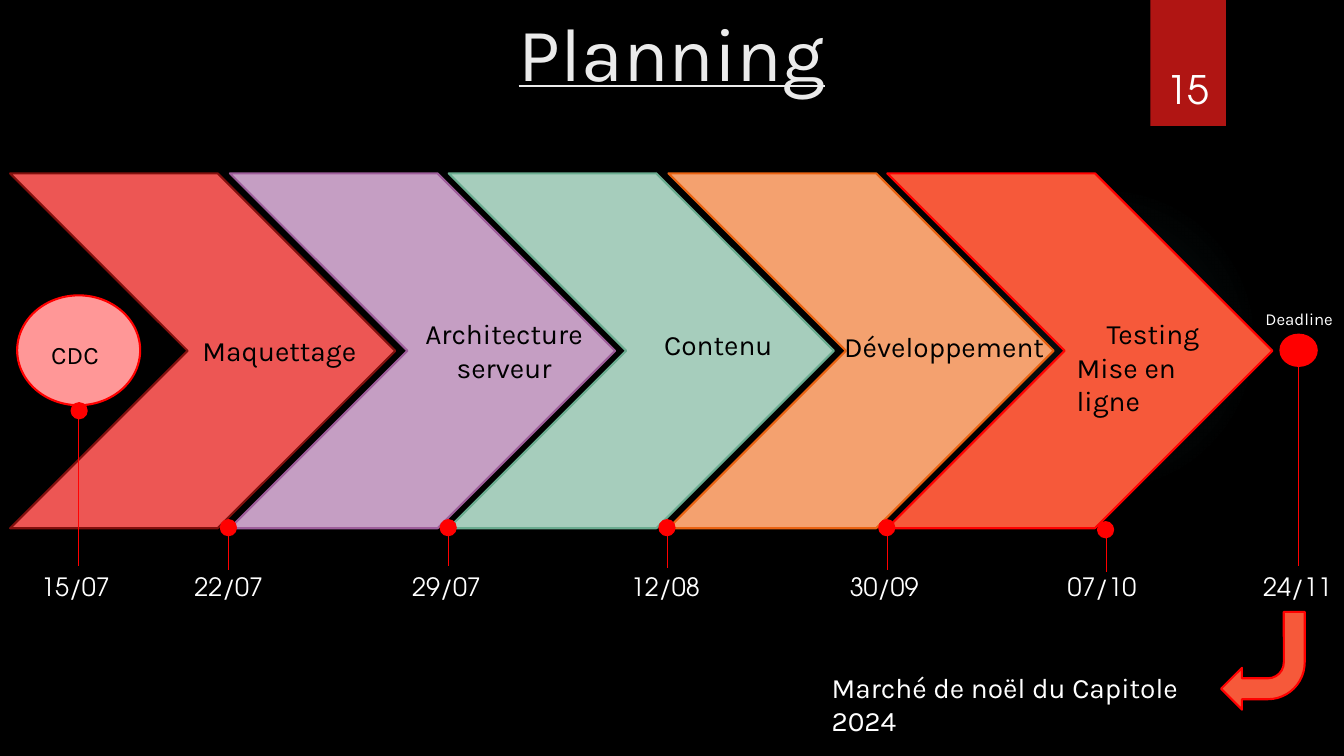
from dataclasses import dataclass

from lxml.etree import SubElement
from pptx import Presentation
from pptx.dml.color import RGBColor
from pptx.enum.shapes import MSO_CONNECTOR as CONN, MSO_SHAPE as SHAPE
from pptx.enum.text import MSO_ANCHOR as ANCHOR, PP_ALIGN as ALIGN
from pptx.oxml import parse_xml
from pptx.oxml.ns import nsdecls, qn
from pptx.util import Pt

PX = 9144  # EMU per px, 100 px to the inch
PITCH = 217.6  # px from one stage to the next


@dataclass(frozen=True)
class Theme:
    back: str = "000000"
    ink: str = "000000"
    light: str = "FFFFFF"
    title: str = "EBEBEB"
    accent: str = "FF0000"
    tab: str = "B01513"
    bubble: str = "FF9797"
    arrow: str = "F6593A"
    glow: str = "50B9C1"
    text_font: str = "Karla"
    number_font: str = "TeX Gyre Adventor"
    title_size: int = 54
    page_size: int = 28
    label_size: int = 20
    date_size: int = 18
    note_size: int = 12


T = Theme()

# Chevron fill and outline, then label lines, label box and alignments
STAGES = [
    ("ED5654", "82100E", ["Maquettage"], (191, 326, 174, 44), [ALIGN.LEFT]),
    ("C59EC3", "9E5E9B", ["Architecture serveur"], (410, 309, 180, 77), [ALIGN.CENTER]),
    ("A6CDBC", "6AAC90", ["Contenu"], (625, 320, 175, 44), [ALIGN.CENTER]),
    ("F4A16F", "EA6312", ["Développement"], (827, 322, 219, 44), [ALIGN.CENTER]),
    (T.arrow, T.accent, ["Testing", "Mise en ligne"], (1058, 309, 171, 77),
     [ALIGN.CENTER, ALIGN.LEFT]),
]

# Date, left of its box, dot top, top of its line
STAGE_ENDS = [
    ("22/07", 183, 516, 531),
    ("29/07", 399, 516, 528),
    ("12/08", 616, 516, 530),
    ("30/09", 833, 516, 531),
    ("07/10", 1049, 518, 533),
]


def px(*lengths):
    return [n * PX for n in lengths]


def rgb(value):
    return RGBColor.from_string(value)


def add_shape(s, kind, box, fill, line=None):
    sp = s.shapes.add_shape(kind, *px(*box))
    sp.shadow.inherit = False
    sp.fill.solid()
    sp.fill.fore_color.rgb = rgb(fill)
    if line:
        sp.line.color.rgb = rgb(line)
        sp.line.width = Pt(1.5)
    else:
        sp.line.fill.background()
    return sp


def add_text(s, lines, box, size=T.label_size, font=T.text_font, color=T.ink,
             aligns=(ALIGN.LEFT,), anchor=ANCHOR.TOP, underline=None):
    tf = s.shapes.add_textbox(*px(*box)).text_frame
    tf.word_wrap = True
    tf.vertical_anchor = anchor
    for i, (line, align) in enumerate(zip(lines, aligns)):
        p = tf.add_paragraph() if i else tf.paragraphs[0]
        p.alignment = align
        r = p.add_run()
        r.text = line
        r.font.size = Pt(size)
        r.font.name = font
        r.font.color.rgb = rgb(color)
        r.font.underline = underline


def add_dot(s, left, top, width=15, height=15):
    add_shape(s, SHAPE.OVAL, (left, top, width, height), T.accent, T.accent)


def add_drop(s, x, top, bottom):
    c = s.shapes.add_connector(CONN.STRAIGHT, *px(x, top, x, bottom))
    c.line.color.rgb = rgb(T.accent)
    c.line.width = Pt(0.75)
    SubElement(c._element.spPr, qn("a:effectLst"))


def add_date(s, date, left, width=94):
    add_text(s, [date], (left, 562, width, 40), size=T.date_size,
             font=T.number_font, color=T.light)


def add_glow(s):
    sp = add_shape(s, SHAPE.OVAL, (941, 183, 308, 308), T.glow)
    stops = "".join(
        f'<a:gs pos="{pos}000"><a:srgbClr val="{T.glow}">'
        f'<a:alpha val="{alpha}000"/></a:srgbClr></a:gs>'
        for pos, alpha in ((0, 7), (36, 6), (69, 0)))
    grad = parse_xml(
        f'<a:gradFill {nsdecls("a")}><a:gsLst>{stops}</a:gsLst><a:path path="circle">'
        '<a:fillToRect l="50000" t="50000" r="50000" b="50000"/></a:path></a:gradFill>')
    spPr = sp._element.spPr
    spPr.replace(spPr.find(qn("a:solidFill")), grad)


def add_bent_arrow(s):
    sp = add_shape(s, SHAPE.BENT_ARROW, (1211, 607, 83, 97), T.arrow, T.accent)
    sp.rotation = 180
    for i, value in enumerate((0.25, 0.25, 0.25, 0.44)):
        sp.adjustments[i] = value


def main():
    prs = Presentation()
    prs.slide_width, prs.slide_height = px(1333, 750)
    s = prs.slides.add_slide(prs.slide_layouts[6])
    s.background.fill.solid()
    s.background.fill.fore_color.rgb = rgb(T.back)

    # Backdrop and page tab
    add_glow(s)
    add_shape(s, SHAPE.RECTANGLE, (1141, 0, 75, 125), T.tab)

    # Stages
    for i, (fill, line, *_) in enumerate(STAGES):
        add_shape(s, SHAPE.CHEVRON, (10 + round(PITCH * i), 172, 382, 352), fill, line)
    for _, _, lines, box, aligns in STAGES:
        add_text(s, lines, box, aligns=aligns)

    # Start
    add_shape(s, SHAPE.OVAL, (17, 293, 122, 109), T.bubble, T.accent)
    add_text(s, ["CDC"], (41, 332, 82, 41), size=T.date_size)
    add_dot(s, 71, 400)
    add_drop(s, 78, 415, 562)
    add_date(s, "15/07", 31, 99)

    # End of each stage
    for i, (date, left, dot_top, line_top) in enumerate(STAGE_ENDS):
        x = 227 + round(PITCH * i)
        add_dot(s, x - 8, dot_top)
        add_drop(s, x, line_top, line_top + 34)
        add_date(s, date, left)

    # Deadline
    add_dot(s, 1270, 332, 36, 31)
    add_drop(s, 1288, 363, 562)
    add_date(s, "24/11", 1243)
    add_text(s, ["Deadline"], (1243, 301, 91, 30), size=T.note_size,
             color=T.light, aligns=[ALIGN.CENTER])
    add_text(s, ["Marché de noël du Capitole 2024"], (815, 660, 407, 44), color=T.light)
    add_bent_arrow(s)

    # Title and page number
    add_text(s, ["Planning"], (0, 0, 1333, 101), size=T.title_size, color=T.title,
             aligns=[ALIGN.CENTER], anchor=ANCHOR.MIDDLE, underline=True)
    add_text(s, ["15"], (1132, 32, 92, 84), size=T.page_size, font=T.number_font,
             color=T.light, aligns=[ALIGN.CENTER], anchor=ANCHOR.BOTTOM)

    prs.save("out.pptx")


if __name__ == "__main__":
    main()
